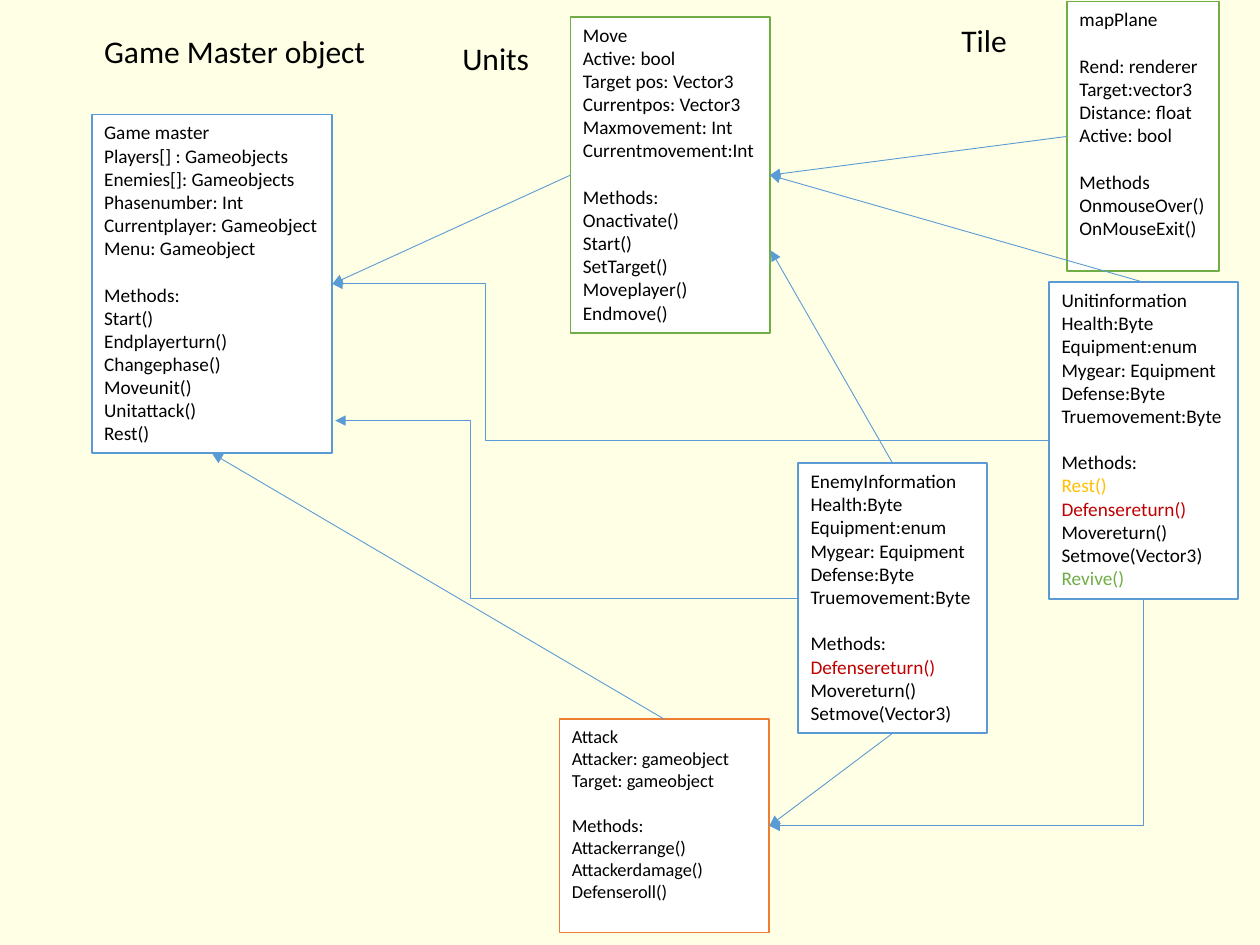
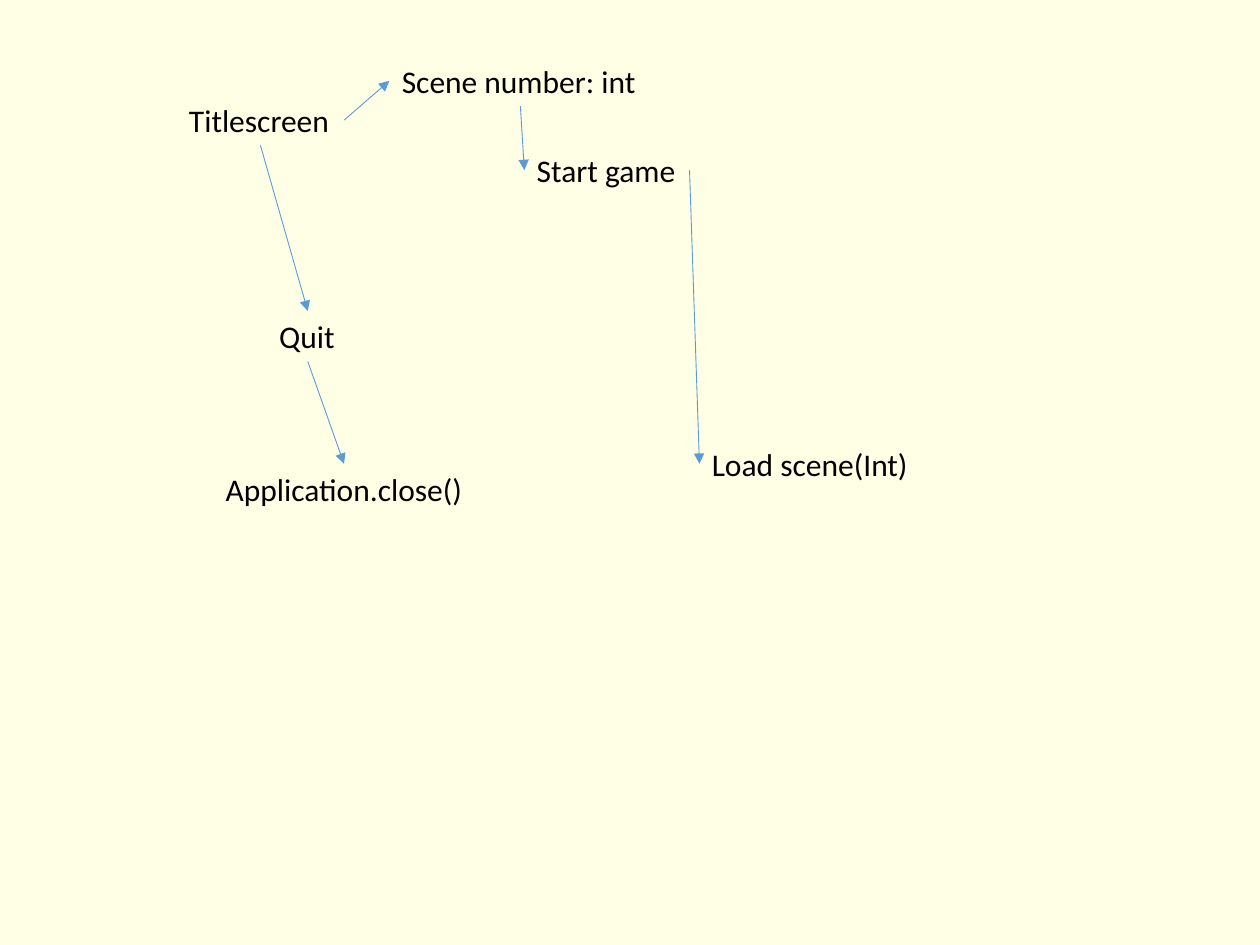
from dataclasses import dataclass, field

from lxml import etree
from pptx import Presentation
from pptx.dml.color import RGBColor
from pptx.enum.shapes import MSO_CONNECTOR, MSO_SHAPE
from pptx.enum.text import MSO_ANCHOR, PP_ALIGN
from pptx.oxml.ns import qn
from pptx.util import Cm, Pt

RECTANGLE = MSO_SHAPE.RECTANGLE
STRAIGHT, ELBOW = MSO_CONNECTOR.STRAIGHT, MSO_CONNECTOR.ELBOW
LEFT, CENTER, TOP = PP_ALIGN.LEFT, PP_ALIGN.CENTER, MSO_ANCHOR.TOP

# Shared style
FONT = "Calibri"
CREAM, WHITE, BLACK = "FFFFE5", "FFFFFF", "000000"
BLUE, GREEN, ORANGE = "5B9BD5", "70AD47", "ED7D31"
GOLD, RED = "FFC000", "C00000"
LINE_HEIGHT = 1.22
LABEL_HEIGHT = 1.02
LABEL_SIZE = 18

Point = tuple[float, float]


@dataclass
class Area:
    """A rectangle in centimetres, with the middles of its sides."""
    x: float
    y: float
    width: float
    height: float = LABEL_HEIGHT

    @property
    def left(self) -> Point:
        return self.x, self.y + self.height / 2

    @property
    def right(self) -> Point:
        return self.x + self.width, self.y + self.height / 2

    @property
    def top(self) -> Point:
        return self.x + self.width / 2, self.y

    @property
    def bottom(self) -> Point:
        return self.x + self.width / 2, self.y + self.height

    def lengths(self) -> tuple:
        return Cm(self.x), Cm(self.y), Cm(self.width), Cm(self.height)


@dataclass
class Label:
    text: str
    area: Area
    centered: bool = False


@dataclass
class ClassBox:
    """A class with groups of lines, one empty line's height apart."""
    area: Area
    border: str
    groups: list[list[str]]
    tints: dict[str, str] = field(default_factory=dict)
    size: float = 11
    wrap: bool = False


def color(value: str) -> RGBColor:
    return RGBColor.from_string(value)


def format_text(para, size: float, tint: str = BLACK) -> None:
    for span in para.runs:
        span.font.name = FONT
        span.font.size = Pt(size)
        span.font.color.rgb = color(tint)


def draw_label(page, label: Label) -> None:
    box = page.shapes.add_textbox(*label.area.lengths())
    box.text_frame.word_wrap = label.centered
    box.text_frame.text = label.text
    para = box.text_frame.paragraphs[0]
    para.alignment = CENTER if label.centered else LEFT
    format_text(para, LABEL_SIZE)


def draw_class(page, item: ClassBox) -> None:
    box = page.shapes.add_shape(RECTANGLE, *item.area.lengths())
    box.shadow.inherit = False
    box.fill.solid()
    box.fill.fore_color.rgb = color(WHITE)
    box.line.color.rgb = color(item.border)
    box.line.width = Pt(1)

    frame = box.text_frame
    frame.word_wrap = item.wrap
    frame.vertical_anchor = TOP
    frame.text = "\n".join(line for group in item.groups for line in group)
    for para in frame.paragraphs:
        para.alignment = LEFT
        format_text(para, item.size, item.tints.get(para.text, BLACK))

    # Open a gap above each group after the first
    start = 0
    for group in item.groups[:-1]:
        start += len(group)
        frame.paragraphs[start].space_before = Pt(item.size * LINE_HEIGHT)


def draw_arrow(page, start: Point, end: Point, kind=STRAIGHT):
    arrow = page.shapes.add_connector(kind, *(Cm(v) for v in start + end))
    arrow.line.color.rgb = color(BLUE)
    arrow.line.width = Pt(0.5)
    properties = arrow.element.spPr
    etree.SubElement(properties.find(qn("a:ln")), qn("a:tailEnd"), type="triangle")
    etree.SubElement(properties, qn("a:effectLst"))
    return arrow


def draw_step_arrow(page, start: Point, end: Point, bend: float) -> None:
    """Across, up or down at the share `bend` of the way, then across."""
    arrow = draw_arrow(page, start, end, ELBOW)
    adjustments = arrow.element.spPr.find(qn("a:prstGeom")).get_or_add_avLst()
    etree.SubElement(adjustments, qn("a:gd"), name="adj1",
                     fmla=f"val {round(bend * 100000)}")


def draw_corner_arrow(page, start: Point, end: Point) -> None:
    """Down, then left: a right-and-down elbow turned by 90 degrees."""
    middle_x, middle_y = (start[0] + end[0]) / 2, (start[1] + end[1]) / 2
    half_width, half_height = (end[1] - start[1]) / 2, (start[0] - end[0]) / 2
    arrow = draw_arrow(page, (middle_x - half_width, middle_y - half_height),
                       (middle_x + half_width, middle_y + half_height), ELBOW)
    properties = arrow.element.spPr
    properties.find(qn("a:prstGeom")).set("prst", "bentConnector2")
    properties.find(qn("a:xfrm")).set("rot", str(90 * 60000))


def build_class_diagram(page) -> None:
    master = Area(1.85, 2.31, 4.85, 6.83)
    move = Area(11.5, 0.34, 4.02, 6.38)
    unit = Area(21.15, 5.69, 3.81, 6.38)
    plane = Area(21.51, 0.03, 3.06, 5.44)
    attack = Area(11.28, 14.5, 4.23, 4.3)
    enemy = Area(16.09, 9.34, 3.81, 5.44)
    fighter_fields = ["Health:Byte", "Equipment:enum", "Mygear: Equipment",
                      "Defense:Byte", "Truemovement:Byte"]
    fighter_methods = ["Defensereturn()", "Movereturn()", "Setmove(Vector3)"]
    fighter_tints = {"Rest()": GOLD, "Defensereturn()": RED, "Revive()": GREEN}

    # Headings
    for label in (
        Label("Game Master object", Area(1.85, 0.52, 5.84)),
        Label("Units", Area(9.07, 0.67, 1.88)),
        Label("Tile", Area(19.13, 0.3, 1.45)),
    ):
        draw_label(page, label)

    # Classes
    for item in (
        ClassBox(master, BLUE, [
            ["Game master", "Players[] : Gameobjects", "Enemies[]: Gameobjects",
             "Phasenumber: Int", "Currentplayer: Gameobject", "Menu: Gameobject"],
            ["Methods:", "Start()", "Endplayerturn()", "Changephase()",
             "Moveunit()", "Unitattack()", "Rest()"]]),
        ClassBox(move, GREEN, [
            ["Move", "Active: bool", "Target pos: Vector3", "Currentpos: Vector3",
             "Maxmovement: Int", "Currentmovement:Int"],
            ["Methods:", "Onactivate()", "Start()", "SetTarget()",
             "Moveplayer()", "Endmove()"]]),
        ClassBox(unit, BLUE, [
            ["Unitinformation", *fighter_fields],
            ["Methods:", "Rest()", *fighter_methods, "Revive()"]], fighter_tints),
        ClassBox(plane, GREEN, [
            ["mapPlane"],
            ["Rend: renderer", "Target:vector3", "Distance: float", "Active: bool"],
            ["Methods", "OnmouseOver()", "OnMouseExit()"]]),
        ClassBox(attack, ORANGE, [
            ["Attack", "Attacker: gameobject", "Target: gameobject"],
            ["Methods:", "Attackerrange()", "Attackerdamage()", "Defenseroll()"]],
            size=10.5, wrap=True),
        ClassBox(enemy, BLUE, [
            ["EnemyInformation", *fighter_fields],
            ["Methods:", *fighter_methods]], fighter_tints),
    ):
        draw_class(page, item)

    # Relations
    for start, end in (
        (move.left, master.right),
        (unit.top, move.right),
        (plane.left, move.right),
        (attack.top, master.bottom),
        (enemy.top, (15.54, 5.05)),
        (enemy.bottom, attack.right),
    ):
        draw_arrow(page, start, end)
    draw_step_arrow(page, unit.left, master.right, 0.786)
    draw_step_arrow(page, enemy.left, (6.76, 8.48), 0.708)
    draw_corner_arrow(page, unit.bottom, attack.right)


def build_scene_flow(page) -> None:
    title = Area(3.56, 1.91, 3.38)
    scene = Area(7.85, 1.12, 5.28)
    game = Area(10.57, 2.92, 3.33)
    load = Area(14.1, 8.84, 4.52)
    leave = Area(5.38, 6.27, 1.65)
    close = Area(1.17, 9.35, 11.53)

    # Steps
    for label in (
        Label("Titlescreen", title),
        Label("Scene number: int", scene),
        Label("Start game", game),
        Label("Load scene(Int)", load),
        Label("Quit", leave),
        Label("Application.close()", close, centered=True),
    ):
        draw_label(page, label)

    # Transitions
    for start, end in (
        (title.right, scene.left),
        (scene.bottom, game.left),
        (game.right, load.left),
        (title.bottom, leave.top),
        (leave.bottom, close.top),
    ):
        draw_arrow(page, start, end)


deck = Presentation()
deck.slide_width, deck.slide_height = Cm(25.4), Cm(19.05)
background = deck.slide_master.background.fill
background.solid()
background.fore_color.rgb = color(CREAM)

blank_layout = deck.slide_layouts.get_by_name("Blank")
for build in (build_class_diagram, build_scene_flow):
    build(deck.slides.add_slide(blank_layout))

deck.save("out.pptx")
